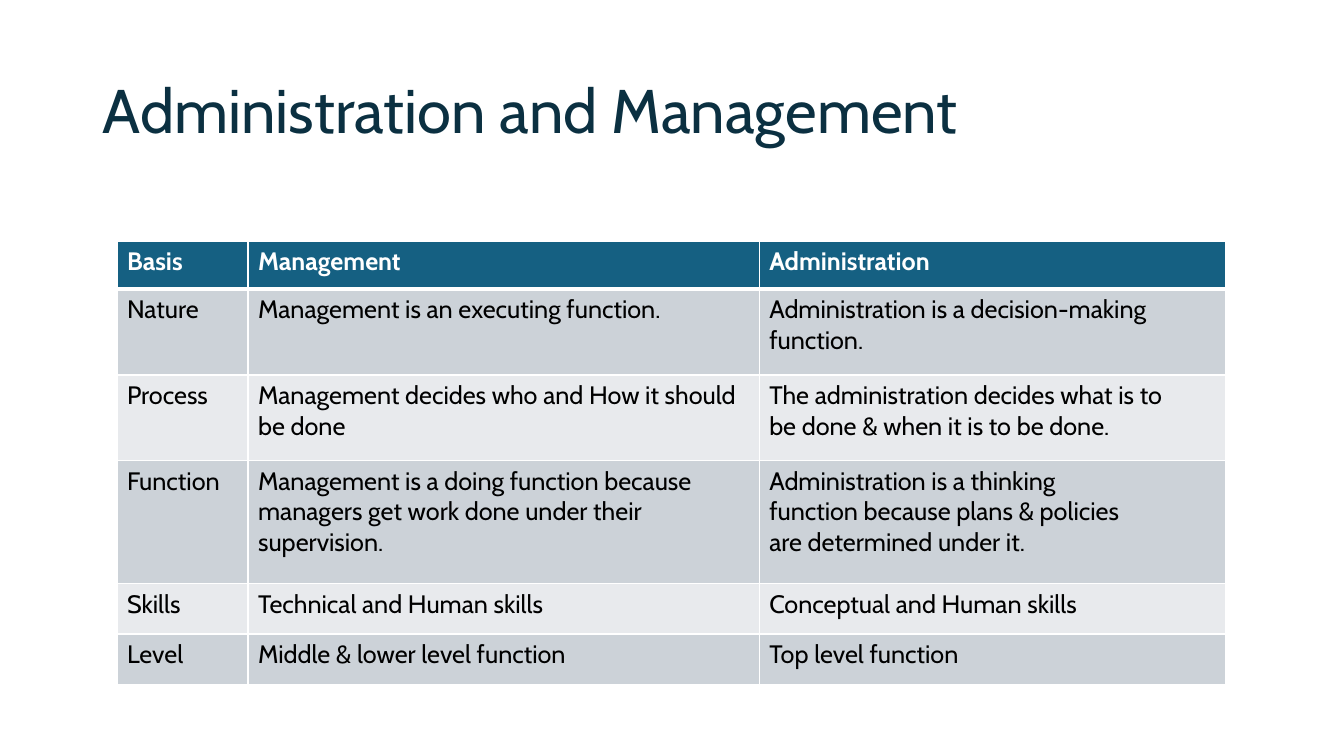
from lxml.etree import SubElement
from pptx import Presentation
from pptx.dml.color import RGBColor
from pptx.enum.text import MSO_ANCHOR
from pptx.oxml.ns import qn
from pptx.util import Inches, Pt


def style_font(font, size, color, bold=False):
    font.name = "Cabin"
    font.size = Pt(size)
    font.bold = bold
    font.color.rgb = RGBColor.from_string(color)


def add_border(cell, side, width):
    line = SubElement(cell._tc.get_or_add_tcPr(), qn(f"a:ln{side}"), w=str(Pt(width)))
    SubElement(SubElement(line, qn("a:solidFill")), qn("a:srgbClr"), val="FFFFFF")


deck = Presentation()
deck.slide_width = Inches(13.33)
deck.slide_height = Inches(7.5)
page = deck.slides.add_slide(deck.slide_layouts[5])

title = page.shapes.title
title.left, title.top = Inches(0.92), Inches(0.4)
title.width, title.height = Inches(11.5), Inches(1.45)
title.text_frame.text = "Administration and Management"
title.text_frame.word_wrap = True
title.text_frame.vertical_anchor = MSO_ANCHOR.MIDDLE
heading = title.text_frame.paragraphs[0]
heading.alignment = 1
heading.line_spacing = 0.9
style_font(heading.font, 44, "0B3041")

comparison = [
    ("Basis", "Management", "Administration"),
    ("Nature", "Management is an executing function.",
     "Administration is a decision-making function."),
    ("Process", "Management decides who and How it should be done",
     "The administration decides what is to\nbe done & when it is to be done."),
    ("Function",
     "Management is a doing function because\nmanagers get work done under their\nsupervision.",
     "Administration is a thinking\nfunction because plans & policies\nare determined under it."),
    ("Skills", "Technical and Human skills", "Conceptual and Human skills"),
    ("Level", "Middle & lower level function", "Top level function"),
]
column_widths = [1.3, 5.07, 4.63]
row_heights = [0.48, 0.85, 0.85, 1.22, 0.5, 0.5]

table = page.shapes.add_table(
    len(comparison), len(column_widths),
    Inches(1.16), Inches(2.39), Inches(11), Inches(4.4),
).table
for column, width in zip(table.columns, column_widths):
    column.width = Inches(width)
for row, height in zip(table.rows, row_heights):
    row.height = Inches(height)

for row_index, texts in enumerate(comparison):
    is_header = row_index == 0
    band = "156082" if is_header else ("E8EAED", "CCD2D8")[row_index % 2]
    for column_index, text in enumerate(texts):
        cell = table.cell(row_index, column_index)
        for side in "LRTB":
            heavy = (is_header and side == "B") or (row_index == 1 and side == "T")
            add_border(cell, side, 3 if heavy else 1)
        cell.fill.solid()
        cell.fill.fore_color.rgb = RGBColor.from_string(band)
        cell.text = text
        for para in cell.text_frame.paragraphs:
            style_font(para.font, 18, "FFFFFF" if is_header else "000000", is_header)

deck.save("out.pptx")
